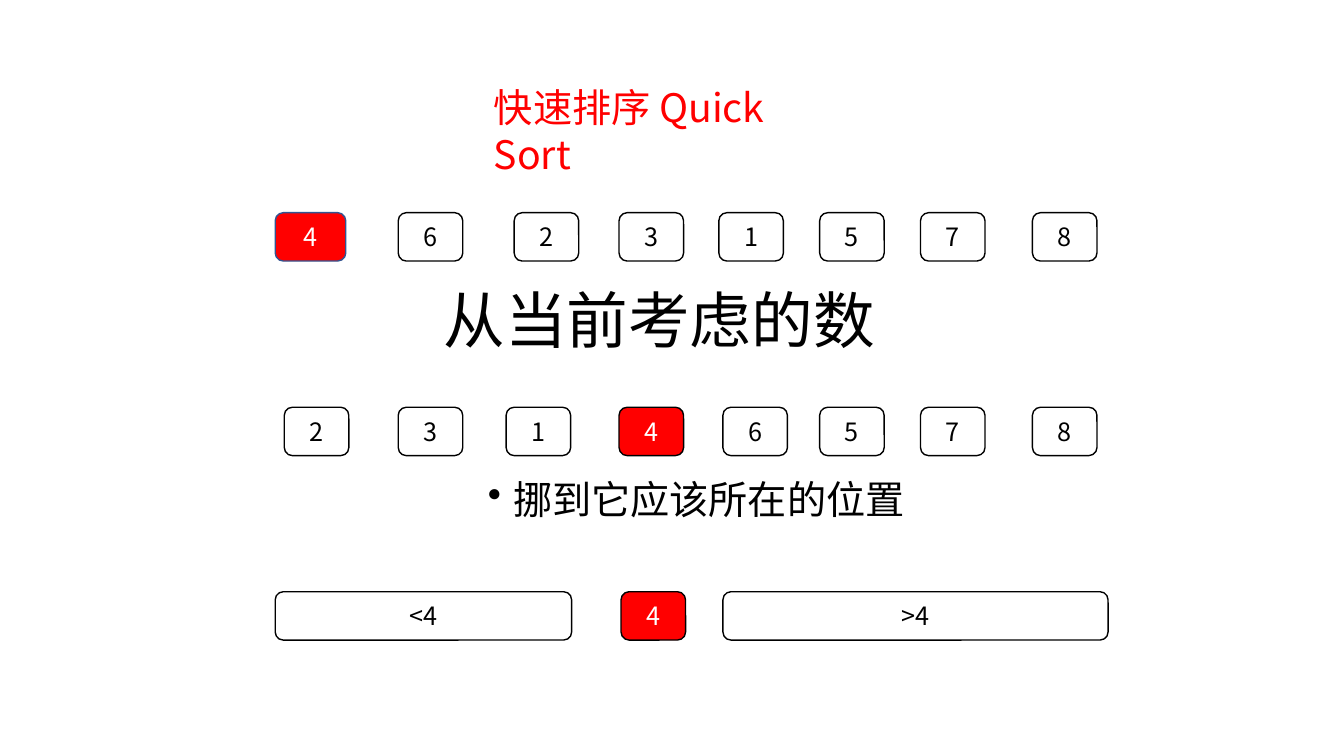
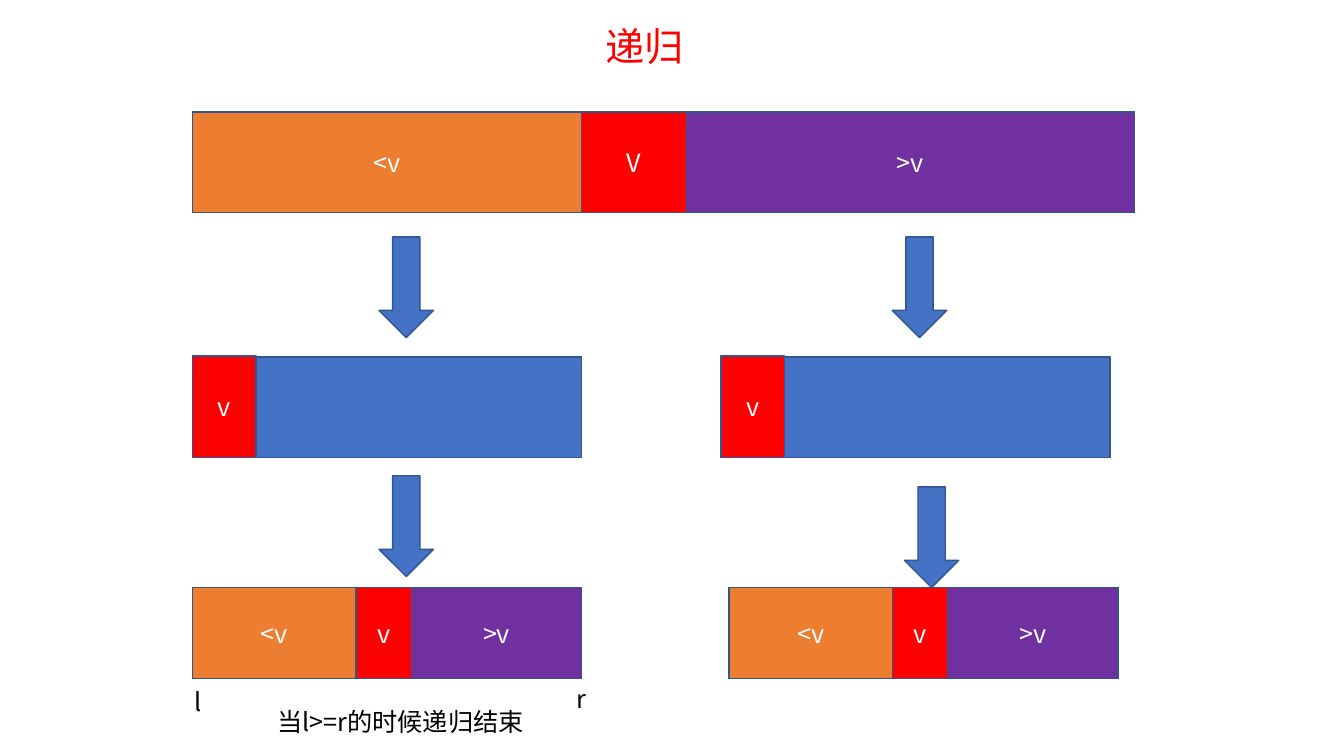
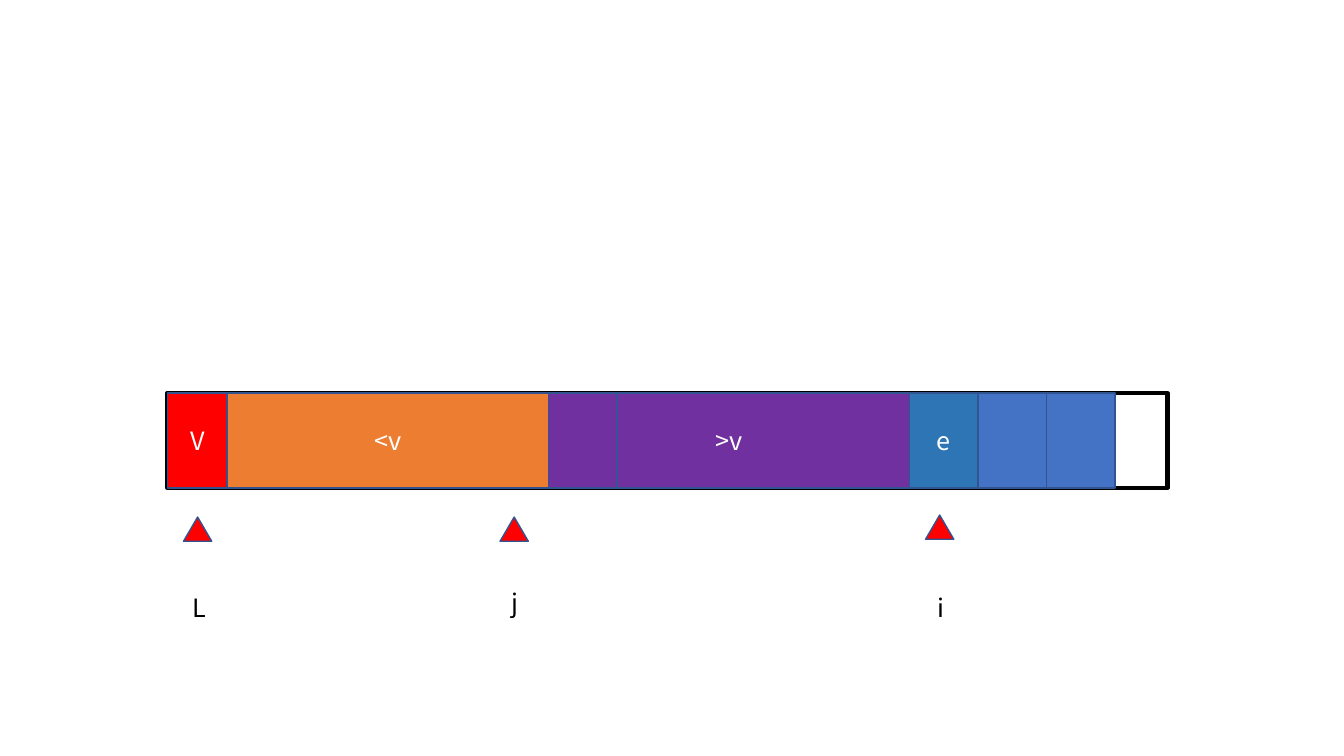
from dataclasses import dataclass

from lxml import etree
from pptx import Presentation
from pptx.dml.color import RGBColor
from pptx.enum.shapes import MSO_SHAPE
from pptx.enum.text import MSO_ANCHOR, MSO_AUTO_SIZE, PP_ALIGN
from pptx.oxml.ns import qn
from pptx.slide import Slide
from pptx.util import Inches, Pt

# Shared look
FONT = "Noto Sans CJK SC"
BLACK, WHITE, RED = "000000", "FFFFFF", "FF0000"
BLUE, NAVY, TEAL = "4472C4", "325491", "2E75B6"
ORANGE, PURPLE = "ED7D31", "7030A0"
CENTRED = {"alignment": PP_ALIGN.CENTER}
TIGHT = {"line_spacing": 0.9}
BODY, TITLE, HEADLINE = 18, 28, 44


@dataclass
class Block:
    left: float
    top: float
    width: float
    height: float
    fill: str = BLUE
    text: str = ""
    color: str = WHITE
    line: str = NAVY
    weight: float = 1
    kind: MSO_SHAPE = MSO_SHAPE.RECTANGLE


@dataclass
class Label:
    left: float
    top: float
    width: float
    height: float
    text: str
    size: int = BODY
    color: str = BLACK
    wrap: bool = True
    grow: bool = True


def rgb(value: str) -> RGBColor:
    return RGBColor.from_string(value)


def write(tf, text: str, size: int, color: str, layout: dict):
    """Put one formatted run in the text frame and return its paragraph."""
    p = tf.paragraphs[0]
    r = p.add_run()
    r.text = text
    for target, values in ((p, layout), (r.font, {"size": Pt(size), "name": FONT})):
        for name, value in values.items():
            setattr(target, name, value)
    r.font.color.rgb = rgb(color)
    etree.SubElement(r.font._element, qn("a:ea"), typeface=FONT)
    return p


def draw_block(s: Slide, b: Block) -> None:
    sp = s.shapes.add_shape(b.kind, *map(Inches, (b.left, b.top, b.width, b.height)))
    sp.shadow.inherit = False
    sp.fill.solid()
    sp.fill.fore_color.rgb = rgb(b.fill)
    sp.line.color.rgb = rgb(b.line)
    sp.line.width = Pt(b.weight)
    if b.text:
        sp.text_frame.vertical_anchor = MSO_ANCHOR.MIDDLE
        write(sp.text_frame, b.text, BODY, b.color, CENTRED)


def draw_label(s: Slide, t: Label, layout: dict = {}, anchor=MSO_ANCHOR.TOP):
    sp = s.shapes.add_textbox(*map(Inches, (t.left, t.top, t.width, t.height)))
    tf = sp.text_frame
    frame = {
        "word_wrap": t.wrap,
        "vertical_anchor": anchor,
        "auto_size": MSO_AUTO_SIZE.SHAPE_TO_FIT_TEXT if t.grow else MSO_AUTO_SIZE.NONE,
    }
    for name, value in frame.items():
        setattr(tf, name, value)
    return write(tf, t.text, t.size, t.color, layout)


def draw_number(s: Slide, left: float, top: float, text: str,
                width: float = 0.64, line: str = BLACK) -> None:
    """A rounded box; the pivot 4 is red."""
    fill, color = (RED, WHITE) if text == "4" else (WHITE, BLACK)
    draw_block(s, Block(left, top, width, 0.48, fill, text, color, line,
                        kind=MSO_SHAPE.ROUNDED_RECTANGLE))


def draw_partition(s: Slide, left: float, top: float, height: float,
                   widths: tuple[float, float, float], pivot: str) -> None:
    """Smaller part, pivot and larger part side by side."""
    low, mid, high = widths
    for b in (
        Block(left, top, sum(widths), height),
        Block(left + low, top, mid, height, RED, pivot),
        Block(left, top, low, height, ORANGE, "<v"),
        Block(left + low + mid, top, high, height, PURPLE, ">v"),
    ):
        draw_block(s, b)


prs = Presentation()
prs.slide_width, prs.slide_height = Inches(13.33), Inches(7.5)


def new_slide() -> Slide:
    return prs.slides.add_slide(prs.slide_layouts[6])


# Slide 1: placing the pivot
s = new_slide()
draw_label(s, Label(4.8, 0.78, 3.65, 0.57, "快速排序 Quick Sort", TITLE, RED))
draw_number(s, 2.73, 2.11, "4", 0.7, NAVY)
unsorted_lefts = (3.95, 5.1, 6.14, 7.13, 8.13, 9.13, 10.24)
placed_lefts = (2.82, 3.95, 5.02, 6.14, 7.17, 8.13, 9.13, 10.24)
for top, lefts, digits in ((2.11, unsorted_lefts, "6231578"),
                           (4.04, placed_lefts, "23146578")):
    for left, digit in zip(lefts, digits):
        draw_number(s, left, top, digit)
for left, text, width in ((2.73, "<4", 2.94), (6.16, "4", 0.64), (7.17, ">4", 3.82)):
    draw_number(s, left, 5.87, text, width)
draw_label(s, Label(4.3, 2.46, 5.74, 1.5, "从当前考虑的数", HEADLINE, grow=False),
           TIGHT, MSO_ANCHOR.MIDDLE)
p = draw_label(s, Label(4.74, 4.72, 4.87, 0.83, "挪到它应该所在的位置", TITLE, grow=False),
               TIGHT | {"space_before": Pt(10)})
pPr = p._p.get_or_add_pPr()
pPr.set("marL", str(Inches(0.25)))
pPr.set("indent", str(Inches(-0.25)))
etree.SubElement(pPr, qn("a:buChar"), char="•")

# Slide 2: recursion
s = new_slide()
draw_label(s, Label(5.91, 0.17, 2.2, 0.57, "递归", TITLE, RED))
draw_partition(s, 1.91, 1.11, 1, (3.86, 1.04, 4.44), "V")
for left in (1.91, 7.15):
    draw_block(s, Block(left, 3.54, 3.86, 1))
    draw_block(s, Block(left, 3.53, 0.63, 1.01, RED, "v"))
for left in (1.91, 7.23):
    draw_partition(s, left, 5.83, 0.9, (1.62, 0.55, 1.69), "v")
for left, top in ((3.76, 2.35), (8.85, 2.35), (3.76, 4.72), (8.97, 4.83)):
    draw_block(s, Block(left, top, 0.54, 1, kind=MSO_SHAPE.DOWN_ARROW))
for t in (
    Label(1.83, 6.76, 0.29, 0.4, "l"),
    Label(5.62, 6.73, 0.44, 0.4, "r"),
    Label(2.65, 6.96, 2.96, 0.4, "当l>=r的时候递归结束"),
):
    draw_label(s, t)

# Slide 3: scanning the array
s = new_slide()
top, height, cell = 3.9, 0.94, 0.68
draw_block(s, Block(1.66, top, 9.92, height, WHITE, line=BLACK, weight=3))
for left, width, fill, text in (
    (1.66, 0.6, RED, "V"),
    (2.25, 3.19, ORANGE, "<v"),
    (5.44, 3.58, PURPLE, ">v"),
    (9.02, cell, TEAL, "e"),
    (5.44, cell, PURPLE, ""),
    (9.7, cell, BLUE, ""),
    (10.38, cell, BLUE, ""),
):
    draw_block(s, Block(left, top, width, height, fill, text))

# Index markers
for left, marker_top, label_top, width, name in (
    (1.82, 5.13, 5.83, 0.32, "L"),
    (4.96, 5.13, 5.78, 0.26, "j"),
    (9.18, 5.11, 5.83, 0.26, "i"),
):
    draw_block(s, Block(left, marker_top, 0.28, 0.24, RED,
                        kind=MSO_SHAPE.ISOSCELES_TRIANGLE))
    draw_label(s, Label(left + 0.15 - width / 2, label_top, width, 0.4, name, wrap=False))

prs.save("out.pptx")
